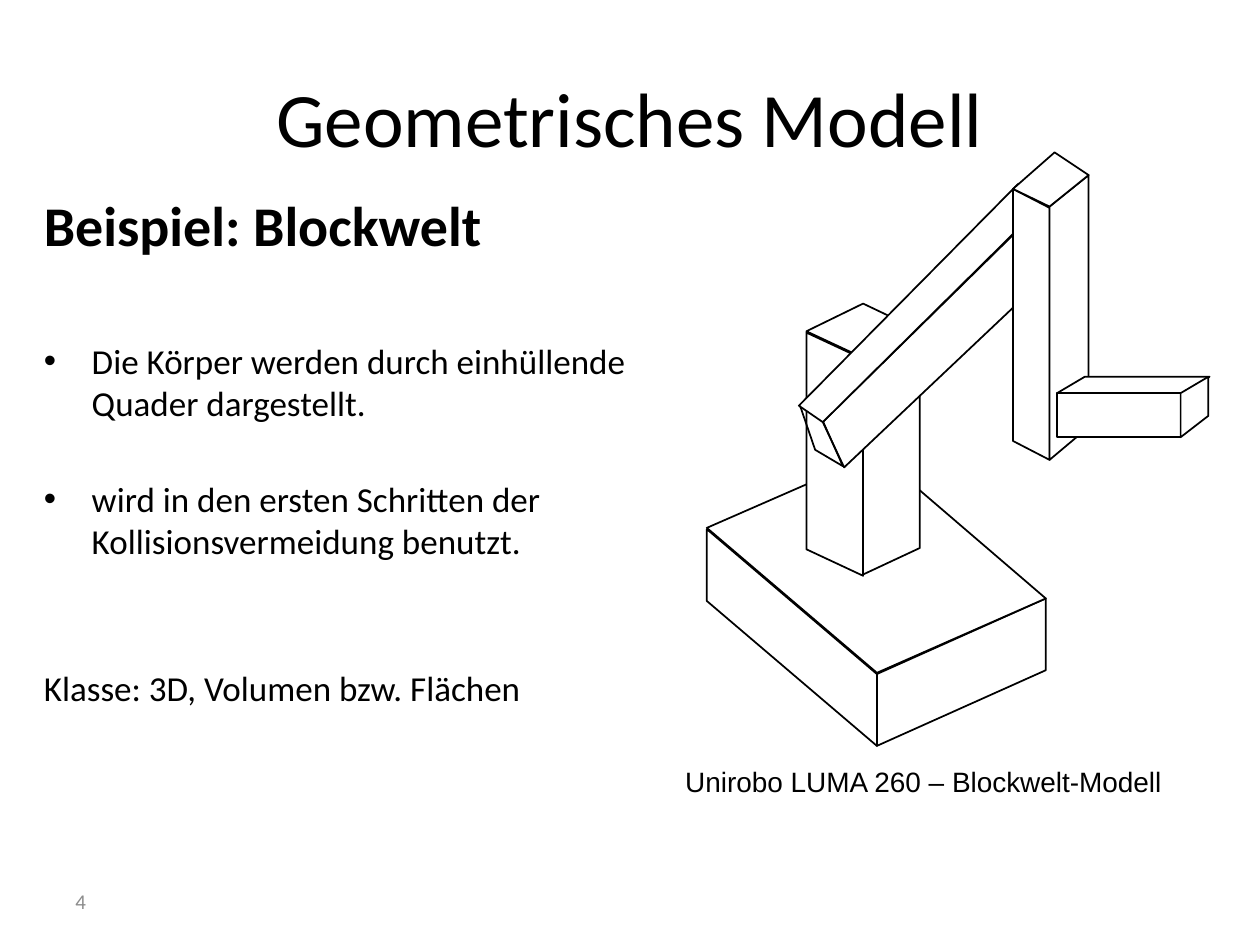
from lxml.etree import SubElement
from pptx import Presentation
from pptx.dml.color import RGBColor
from pptx.enum.shapes import MSO_SHAPE as SHAPE
from pptx.enum.text import MSO_ANCHOR as ANCHOR, PP_ALIGN as ALIGN
from pptx.oxml.ns import qn
from pptx.util import Inches, Pt

BLACK = RGBColor(0, 0, 0)
WHITE = RGBColor(255, 255, 255)
GREY = RGBColor(0x8C, 0x8C, 0x8C)


def set_font(paragraph, size, name="Calibri", color=BLACK, bold=False):
    font = paragraph.font
    font.size, font.name, font.bold = Pt(size), name, bold
    font.color.rgb = color


def style_face(face, filled=True):
    face.shadow.inherit = False
    if filled:
        face.fill.solid()
        face.fill.fore_color.rgb = WHITE
    else:
        face.fill.background()
    face.line.color.rgb = BLACK
    face.line.width = Pt(1)


prs = Presentation()
prs.slide_width, prs.slide_height = Inches(10), Inches(7.5)
slide = prs.slides.add_slide(prs.slide_layouts[5])

title = slide.shapes.title
title.left, title.top = Inches(0.5), Inches(0.3)
title.width, title.height = Inches(9), Inches(1.25)
title.text_frame.text = "Geometrisches Modell"
title.text_frame.vertical_anchor = ANCHOR.MIDDLE
title.text_frame.paragraphs[0].alignment = ALIGN.CENTER
set_font(title.text_frame.paragraphs[0], 44)

page_number = slide.shapes.add_textbox(Inches(0.5), Inches(6.95), Inches(2.33), Inches(0.4))
page_number.text_frame.text = "4"
page_number.text_frame.vertical_anchor = ANCHOR.MIDDLE
set_font(page_number.text_frame.paragraphs[0], 12, color=GREY)

body = slide.shapes.add_textbox(Inches(0.25), Inches(1.46), Inches(5.67), Inches(5.83)).text_frame
body.word_wrap = True
statements = [
    ("Beispiel: Blockwelt", 32, 2, False),
    ("Die Körper werden durch einhüllende Quader dargestellt.", 20, 47, True),
    ("wird in den ersten Schritten der Kollisionsvermeidung benutzt.", 20, 31, True),
    ("Klasse: 3D, Volumen bzw. Flächen", 20, 60, False),
]
for index, (statement, size, gap, bulleted) in enumerate(statements):
    paragraph = body.add_paragraph() if index else body.paragraphs[0]
    paragraph.text = statement
    paragraph.space_before = Pt(gap)
    set_font(paragraph, size, bold=index == 0)
    properties = paragraph._p.get_or_add_pPr()
    properties.set("marL", str(Inches(0.38)))
    properties.set("indent", str(-Inches(0.38)))
    if bulleted:
        SubElement(properties, qn("a:buFont")).set("typeface", "Arial")
        SubElement(properties, qn("a:buChar")).set("char", "•")
    else:
        SubElement(properties, qn("a:buNone"))
    run_defaults = properties.find(qn("a:defRPr"))
    if run_defaults is not None:
        properties.append(run_defaults)

base = [
    [(5.61, 4.2), (6.96, 5.35), (6.96, 5.92), (5.61, 4.77)],
    [(6.96, 5.35), (8.3, 4.75), (8.3, 5.32), (6.96, 5.92)],
    [(5.61, 4.19), (6.96, 5.34), (8.3, 4.75), (6.96, 3.6)],
]
column = [
    [(6.85, 2.84), (7.3, 2.63), (7.3, 4.35), (6.85, 4.56)],
    [(6.4, 4.36), (6.85, 4.57), (6.85, 2.85), (6.4, 2.64)],
    [(6.4, 2.63), (6.85, 2.84), (7.29, 2.62), (6.85, 2.41)],
]
upper_arm = [
    [(6.53, 3.35), (6.7, 3.71), (8.55, 1.96), (8.33, 1.58)],
    [(6.35, 3.22), (6.53, 3.34), (6.69, 3.7), (6.47, 3.57)],
    [(6.34, 3.22), (6.53, 3.35), (8.32, 1.58), (8.08, 1.46)],
]
forearm = [
    [(8.04, 1.5), (8.33, 1.65), (8.33, 3.65), (8.04, 3.5)],
    [(8.33, 1.64), (8.64, 1.39), (8.64, 3.39), (8.33, 3.65)],
    [(8.04, 1.5), (8.33, 1.64), (8.64, 1.39), (8.37, 1.21)],
]
hand = [
    [(8.61, 2.99), (9.6, 2.99), (9.38, 3.12), (8.39, 3.12)],
    [(9.59, 2.99), (9.37, 3.12), (9.37, 3.47), (9.59, 3.3)],
]
open_end = upper_arm[1]

robot = slide.shapes.add_group_shape().shapes
for block in (base, column, upper_arm, forearm, hand):
    if block is hand:
        hand_front = robot.add_shape(
            SHAPE.RECTANGLE, Inches(8.39), Inches(3.12), Inches(0.98), Inches(0.35))
        style_face(hand_front)
    for corners in block:
        points = [(Inches(x), Inches(y)) for x, y in corners]
        outline = robot.build_freeform(*points[0])
        outline.add_line_segments(points[1:], close=True)
        style_face(outline.convert_to_shape(), filled=corners is not open_end)

caption = slide.shapes.add_textbox(Inches(5.34), Inches(6.02), Inches(4.07), Inches(0.37))
caption.text_frame.word_wrap = False
caption.text_frame.text = "Unirobo LUMA 260 – Blockwelt-Modell"
set_font(caption.text_frame.paragraphs[0], 16, "Arial")

prs.save("out.pptx")
